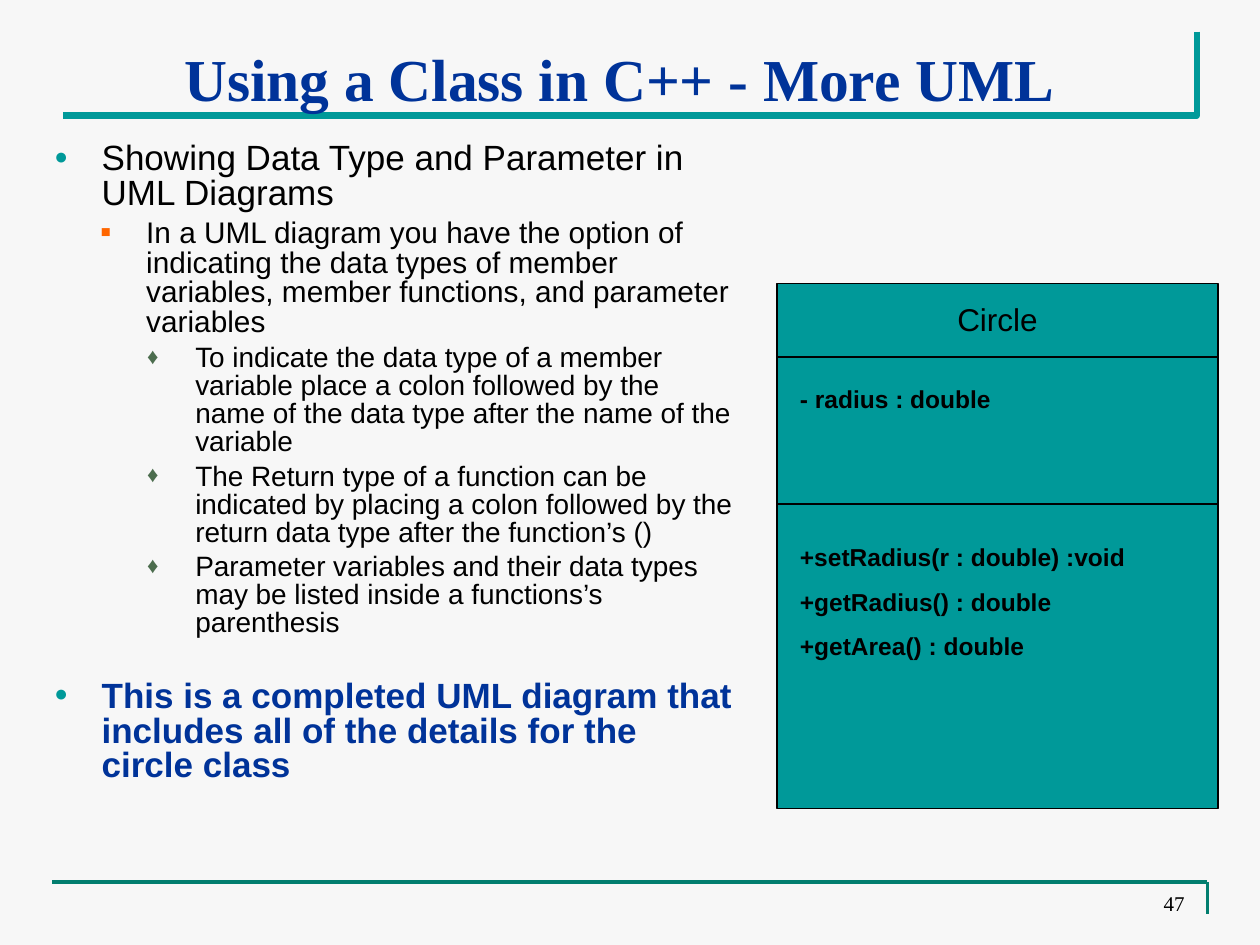
from lxml import etree
from pptx import Presentation
from pptx.dml.color import RGBColor
from pptx.enum.shapes import MSO_CONNECTOR, MSO_SHAPE
from pptx.enum.text import MSO_ANCHOR, PP_ALIGN
from pptx.oxml.ns import qn
from pptx.util import Pt

LEFT, CENTER, RIGHT = PP_ALIGN.LEFT, PP_ALIGN.CENTER, PP_ALIGN.RIGHT
TOP, BOTTOM = MSO_ANCHOR.TOP, MSO_ANCHOR.BOTTOM
STRAIGHT, RECTANGLE = MSO_CONNECTOR.STRAIGHT, MSO_SHAPE.RECTANGLE

TEAL, DARK_TEAL, NAVY, BLACK = "009999", "027E6F", "003399", "000000"

# Outline levels: indent, hanging, size, space before, bullet, bullet colour, bullet percent
LEVELS = [
    (27, 27, 20, 5, "●", TEAL, 65),
    (52.5, 26, 17, 4.2, "■", "FF6600", 55),
    (80.5, 27.5, 16, 4, "♦", "4C6D4E", 80),
]

OUTLINE = [
    (0, "Showing Data Type and Parameter in UML Diagrams"),
    (1, "In a UML diagram you have the option of indicating the data types of "
        "member variables, member functions, and parameter variables"),
    (2, "To indicate the data type of a member variable place a colon followed by "
        "the name of the data type after the name of the variable"),
    (2, "The Return type of a function can be indicated by placing a colon "
        "followed by the return data type after the function’s ()"),
    (2, "Parameter variables and their data types may be listed inside a "
        "functions’s parenthesis"),
    (0, "This is a completed UML diagram that includes all of the details for "
        "the circle class"),
]


def colour(value):
    return RGBColor.from_string(value)


class Page:
    """Holds the style and the current slide."""

    sans, serif = "Arial", "Times New Roman"

    def __init__(self, deck, background):
        self.slide = deck.slides.add_slide(deck.slide_layouts[6])
        self.shapes = self.slide.shapes
        fill = self.slide.background.fill
        fill.solid()
        fill.fore_color.rgb = colour(background)

    def line(self, x1, y1, x2, y2, tint=BLACK, width=0.75):
        line = self.shapes.add_connector(STRAIGHT, Pt(x1), Pt(y1), Pt(x2), Pt(y2))
        line.line.color.rgb = colour(tint)
        line.line.width = Pt(width)
        etree.SubElement(line._element.spPr, qn("a:effectLst"))

    def corner(self, points, tint, width):
        start, *others = [(Pt(x), Pt(y)) for x, y in points]
        builder = self.shapes.build_freeform(*start)
        builder.add_line_segments(others, close=False)
        corner = builder.convert_to_shape()
        corner.shadow.inherit = False
        corner.fill.background()
        corner.line.color.rgb = colour(tint)
        corner.line.width = Pt(width)

    def rectangle(self, x, y, width, height, fill):
        box = self.shapes.add_shape(RECTANGLE, Pt(x), Pt(y), Pt(width), Pt(height))
        box.shadow.inherit = False
        box.fill.solid()
        box.fill.fore_color.rgb = colour(fill)
        box.line.color.rgb = colour(BLACK)
        box.line.width = Pt(0.75)

    def frame(self, x, y, width, height, anchor=TOP, top_inset=3.6):
        box = self.shapes.add_textbox(Pt(x), Pt(y), Pt(width), Pt(height))
        frame = box.text_frame
        frame.word_wrap = True
        frame.vertical_anchor = anchor
        frame.margin_top = Pt(top_inset)
        return frame

    def style(self, para, size, bold=False, tint=BLACK, face=sans):
        for span in para.runs:
            span.font.name = face
            span.font.size = Pt(size)
            span.font.bold = bold
            span.font.color.rgb = colour(tint)

    def text(self, area, lines, size, align=LEFT, gap=0, anchor=TOP,
             top_inset=3.6, **look):
        frame = self.frame(*area, anchor, top_inset)
        frame.text = "\n".join(lines)
        for index, para in enumerate(frame.paragraphs):
            para.alignment = align
            para.space_before = Pt(gap if index else 0)
            self.style(para, size, **look)

    def bullet(self, para, indent, hanging, sign, tint, percent):
        properties = para._p.get_or_add_pPr()
        properties.set("marL", str(Pt(indent)))
        properties.set("indent", str(-Pt(hanging)))
        holder = etree.SubElement(properties, qn("a:buClr"))
        etree.SubElement(holder, qn("a:srgbClr"), val=tint)
        etree.SubElement(properties, qn("a:buSzPct"), val=str(percent * 1000))
        etree.SubElement(properties, qn("a:buFont"), typeface=self.sans)
        etree.SubElement(properties, qn("a:buChar"), char=sign)

    def outline(self, area, items):
        frame = self.frame(*area)
        frame.text = "\n".join(words for _, words in items)
        for para, (level, _) in zip(frame.paragraphs, items):
            indent, hanging, size, gap, sign, tint, percent = LEVELS[level]
            para.level = level
            self.bullet(para, indent, hanging, sign, tint, percent)
            para.line_spacing = 0.83
            para.space_before = Pt(gap)
            self.style(para, size)
        frame.paragraphs[0].space_before = Pt(0)
        # The conclusion stands apart from the list
        conclusion = frame.paragraphs[-1]
        conclusion.space_before = Pt(24)
        self.style(conclusion, 20, bold=True, tint=NAVY)


def main():
    deck = Presentation()
    deck.slide_width, deck.slide_height = Pt(720), Pt(540)
    page = Page(deck, "F7F7F7")

    # Frame lines
    page.corner([(684, 18), (684, 66), (36, 66)], TEAL, 3.5)
    page.line(30, 504, 690, 504, DARK_TEAL, 2.25)
    page.line(690, 504, 690, 522, DARK_TEAL, 2.25)

    # Title and outline
    page.text((30, 16, 648, 27), ["Using a Class in C++ - More UML"], 34, CENTER,
              top_inset=8, bold=True, tint=NAVY, face=page.serif)
    page.outline((24, 78, 402, 420), OUTLINE)

    # Class diagram
    left, width = 444, 252
    page.rectangle(left, 162, width, 300, TEAL)
    for divider in (204, 288):
        page.line(left, divider, left + width, divider)
    page.text((474, 168, 192, 29), ["Circle"], 18, CENTER)
    page.text((450, 216, 204, 24), ["- radius : double"], 14, bold=True)
    page.text((450, 306, 240, 76),
              ["+setRadius(r : double) :void", "+getRadius() : double",
               "+getArea() : double"], 14, gap=8.8, bold=True)

    # Page number
    page.text((516, 510, 168, 17), ["47"], 12, RIGHT, anchor=BOTTOM, face=page.serif)

    deck.save("out.pptx")


if __name__ == "__main__":
    main()
